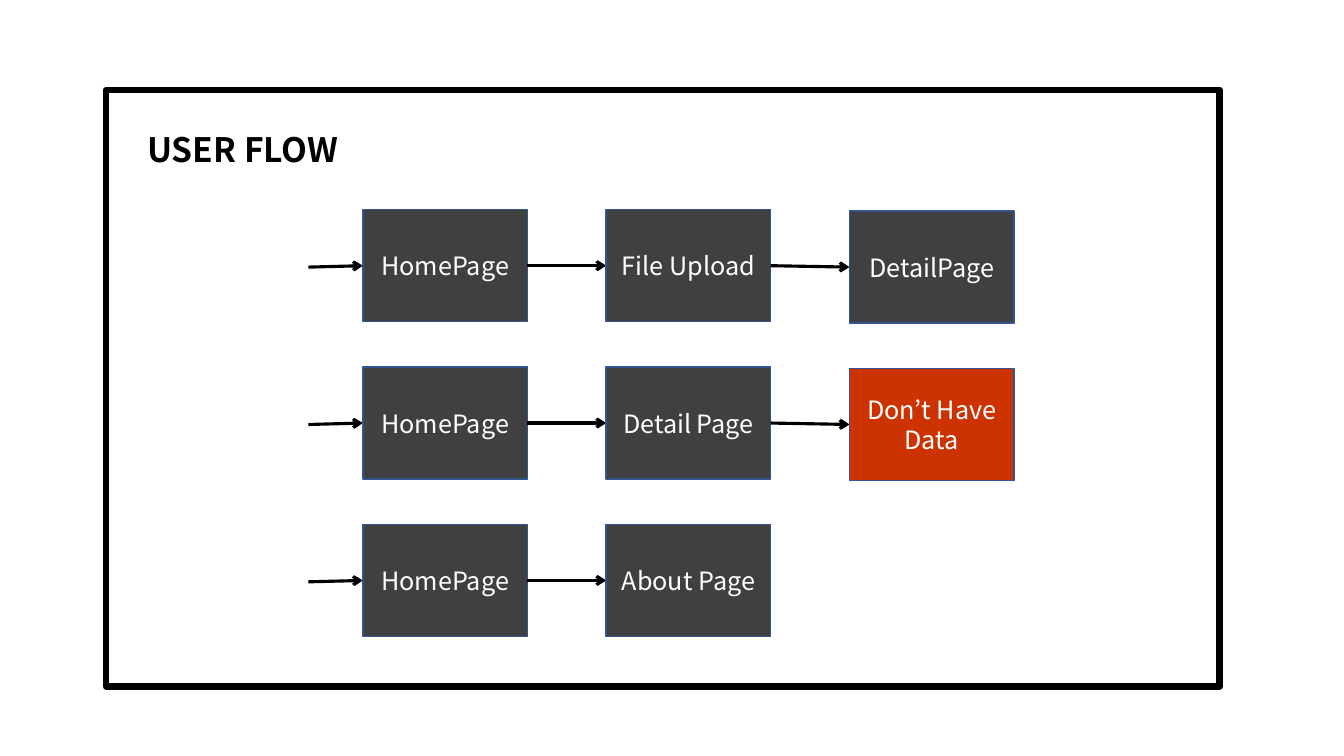
from lxml.etree import SubElement
from pptx import Presentation
from pptx.dml.color import RGBColor
from pptx.enum.shapes import MSO_CONNECTOR, MSO_SHAPE
from pptx.enum.text import MSO_ANCHOR, MSO_AUTO_SIZE, PP_ALIGN
from pptx.oxml.ns import qn
from pptx.util import Pt

BLACK = RGBColor(0x00, 0x00, 0x00)
WHITE = RGBColor(0xFF, 0xFF, 0xFF)
CHARCOAL = RGBColor(0x40, 0x40, 0x40)
RED = RGBColor(0xCC, 0x33, 0x00)
NAVY = RGBColor(0x32, 0x54, 0x91)
FONT = "Noto Sans CJK KR"

STEP_LEFT, STEP_TOP = 259.2, 149.8
STEP_WIDTH, STEP_HEIGHT = 117.5, 80
COLUMN_PITCH, ROW_PITCH = 173.8, 112.4
ENTRY_LEFT = 220.3
COLUMN_DROPS = [0, 0, 1]

FLOWS = [
    [("HomePage", CHARCOAL), ("File Upload", CHARCOAL), ("DetailPage", CHARCOAL)],
    [("HomePage", CHARCOAL), ("Detail Page", CHARCOAL), ("Don’t Have Data", RED)],
    [("HomePage", CHARCOAL), ("About Page", CHARCOAL)],
]


def add_text(paragraph, text, size, color, bold=False):
    run = paragraph.add_run()
    run.text = text
    run.font.name = FONT
    run.font.size = Pt(size)
    run.font.bold = bold
    run.font.color.rgb = color


def add_arrow(slide, start_x, start_y, end_x, end_y):
    arrow = slide.shapes.add_connector(
        MSO_CONNECTOR.STRAIGHT, Pt(start_x), Pt(start_y), Pt(end_x), Pt(end_y)
    )
    arrow.line.color.rgb = BLACK
    arrow.line.width = Pt(2.25)
    SubElement(arrow.line._get_or_add_ln(), qn("a:tailEnd"), type="arrow")
    SubElement(arrow._element.spPr, qn("a:effectLst"))


presentation = Presentation()
presentation.slide_width = Pt(960)
presentation.slide_height = Pt(540)
slide = presentation.slides.add_slide(presentation.slide_layouts[5])

heading = slide.shapes.title
heading.left, heading.top = Pt(97.9), Pt(88.6)
heading.width, heading.height = Pt(156.2), Pt(36)
heading.text_frame.word_wrap = True
heading.text_frame.auto_size = MSO_AUTO_SIZE.SHAPE_TO_FIT_TEXT
heading.text_frame.vertical_anchor = MSO_ANCHOR.TOP
heading_line = heading.text_frame.paragraphs[0]
heading_line.alignment = PP_ALIGN.LEFT
add_text(heading_line, "USER FLOW", 24, BLACK, bold=True)

frame = slide.shapes.add_shape(
    MSO_SHAPE.RECTANGLE, Pt(75.6), Pt(64.1), Pt(795.6), Pt(426.2)
)
frame.shadow.inherit = False
frame.fill.background()
frame.line.color.rgb = BLACK
frame.line.width = Pt(4.5)

for row, flow in enumerate(FLOWS):
    row_top = STEP_TOP + row * ROW_PITCH
    previous_right = ENTRY_LEFT
    previous_middle = row_top + STEP_HEIGHT / 2 + 1

    for column, (label, color) in enumerate(flow):
        left = STEP_LEFT + column * COLUMN_PITCH
        top = row_top + COLUMN_DROPS[column]
        middle = top + STEP_HEIGHT / 2
        add_arrow(slide, previous_right, previous_middle, left, middle)

        step = slide.shapes.add_shape(
            MSO_SHAPE.RECTANGLE, Pt(left), Pt(top), Pt(STEP_WIDTH), Pt(STEP_HEIGHT)
        )
        step.shadow.inherit = False
        step.fill.solid()
        step.fill.fore_color.rgb = color
        step.line.color.rgb = NAVY
        step.line.width = Pt(1)
        step.text_frame.word_wrap = True
        step.text_frame.vertical_anchor = MSO_ANCHOR.MIDDLE
        step_line = step.text_frame.paragraphs[0]
        step_line.alignment = PP_ALIGN.CENTER
        add_text(step_line, label, 18, WHITE)

        previous_right = left + STEP_WIDTH
        previous_middle = middle

presentation.save("out.pptx")
